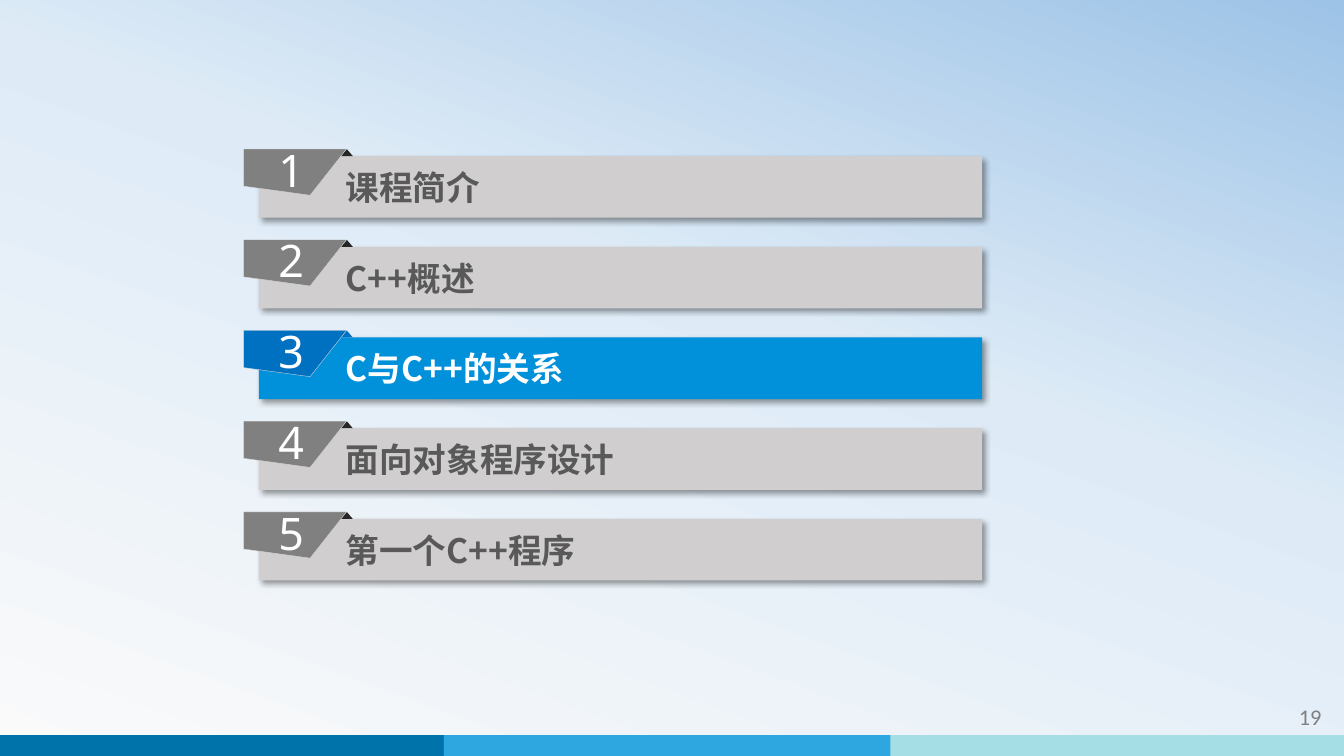
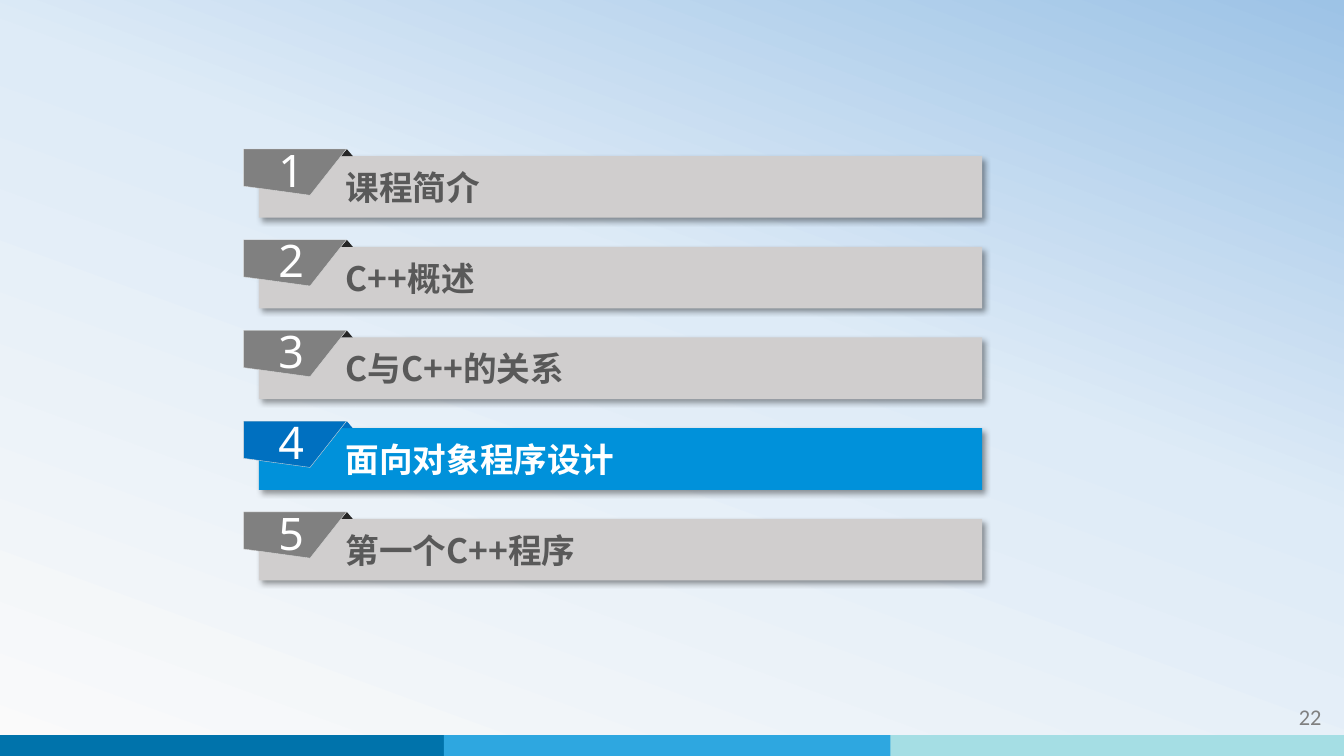
from dataclasses import dataclass

from lxml.etree import SubElement
from pptx import Presentation
from pptx.dml.color import RGBColor
from pptx.enum.shapes import MSO_SHAPE as SHAPE
from pptx.enum.text import MSO_ANCHOR as ANCHOR, PP_ALIGN as ALIGN
from pptx.oxml.ns import qn
from pptx.util import Pt


@dataclass(frozen=True)
class Theme:
    backdrop: tuple = ((0, "FAFAFA"), (58, "DEEBF7"), (100, "9DC3E6"))
    backdrop_angle: int = 70
    bands: tuple = ("0073AB", "2EA7E0", "A5DEE4")
    bar: str = "D0CECE"
    bar_text: str = "595959"
    tab: str = "808080"
    fold: str = "262626"
    active_bar: str = "0091DA"
    active_tab: str = "0070C0"
    tab_edge: str = "D9D9D9"
    white: str = "FFFFFF"
    page_text: str = "808080"
    shadow: str = "000000"
    heading_font: str = "Noto Sans CJK SC"
    number_font: str = "Noto Sans"
    page_font: str = "Calibri"
    heading_size: int = 24
    number_size: int = 32
    page_size: int = 16


T = Theme()
CHAPTERS = ("课程简介", "C++概述", "C与C++的关系", "面向对象程序设计", "第一个C++程序")
AGENDAS = ((19, 3), (22, 4))
AGENDA_TOP, AGENDA_PITCH = 106.5, 64.8
TAB_LEFT = 174


def rgb(value):
    return RGBColor.from_string(value)


def set_text(s, text, *, size, font, color, bold=False, align=ALIGN.LEFT,
             insets=(7.2, 3.6, 7.2, 3.6)):
    tf = s.text_frame
    tf.word_wrap = True
    tf.vertical_anchor = ANCHOR.MIDDLE
    tf.margin_left, tf.margin_top, tf.margin_right, tf.margin_bottom = map(Pt, insets)
    p = tf.paragraphs[0]
    p.alignment = align
    r = p.add_run()
    r.text = text
    r.font.size = Pt(size)
    r.font.bold = bold
    r.font.color.rgb = rgb(color)
    r.font.name = font
    SubElement(r._r.get_or_add_rPr(), qn("a:ea"), typeface=font)


def paint(s, fill, line=None):
    s.shadow.inherit = False
    s.fill.solid()
    s.fill.fore_color.rgb = rgb(fill)
    if line:
        s.line.color.rgb = rgb(line)
        s.line.width = Pt(0.25)
    else:
        s.line.fill.background()


def add_shape(shapes, kind, box, fill):
    s = shapes.add_shape(kind, *map(Pt, box))
    paint(s, fill)
    return s


def add_shadow(s):
    effects = s.element.spPr.find(qn("a:effectLst"))
    outer = SubElement(effects, qn("a:outerShdw"), blurRad=str(Pt(4)),
                       dist=str(Pt(3)), dir="2700000", algn="tl", rotWithShape="0")
    color = SubElement(outer, qn("a:srgbClr"), val=T.shadow)
    SubElement(color, qn("a:alpha"), val="40000")


def add_tab(shapes, top, number, fill):
    outline = shapes.build_freeform(Pt(TAB_LEFT), Pt(top))
    corners = ((73.5, 0), (47.5, 33), (0, 26.5))
    outline.add_line_segments([(Pt(TAB_LEFT + x), Pt(top + y)) for x, y in corners])
    s = outline.convert_to_shape()
    paint(s, fill, T.tab_edge)
    set_text(s, str(number), size=T.number_size, font=T.number_font, color=T.white,
             align=ALIGN.CENTER, insets=(6.5, 3, 12, 7))


def add_chapter(slide, number, title, active):
    top = AGENDA_TOP + (number - 1) * AGENDA_PITCH
    bar_fill, tab_fill, fold_fill, color = (
        (T.active_bar, T.active_tab, T.active_tab, T.white) if active
        else (T.bar, T.tab, T.fold, T.bar_text))
    shapes = slide.shapes.add_group_shape().shapes
    bar = add_shape(shapes, SHAPE.RECTANGLE, (TAB_LEFT + 11, top + 5, 516.5, 44), bar_fill)
    add_shadow(bar)
    set_text(bar, title, size=T.heading_size, font=T.heading_font, color=color,
             bold=True, insets=(62, 3.6, 7.2, 3.6))
    add_shape(shapes, SHAPE.ISOSCELES_TRIANGLE, (TAB_LEFT + 69.5, top, 8.5, 5), fold_fill)
    add_tab(shapes, top, number, tab_fill)


def add_footer(slide, page):
    shapes = slide.shapes.add_group_shape().shapes
    for i, color in enumerate(T.bands):
        add_shape(shapes, SHAPE.RECTANGLE, (319 * i - 2, 525, 324, 15), color)
    s = slide.shapes.add_textbox(Pt(836.5), Pt(497.5), Pt(114.5), Pt(28.5))
    set_text(s, str(page), size=T.page_size, font=T.page_font, color=T.page_text,
             align=ALIGN.RIGHT)


def set_backdrop(master):
    fill = master.background.fill
    fill.gradient()
    fill.gradient_angle = T.backdrop_angle
    stops = master.element.find(".//" + qn("a:gsLst"))
    for stop in list(stops):
        stops.remove(stop)
    for position, color in T.backdrop:
        stop = SubElement(stops, qn("a:gs"), pos=str(position * 1000))
        SubElement(stop, qn("a:srgbClr"), val=color)


def add_agenda(prs, page, current):
    slide = prs.slides.add_slide(prs.slide_layouts.get_by_name("Blank"))
    add_footer(slide, page)
    for number, title in enumerate(CHAPTERS, 1):
        add_chapter(slide, number, title, number == current)


def main():
    prs = Presentation()
    prs.slide_width, prs.slide_height = Pt(960), Pt(540)
    set_backdrop(prs.slide_master)
    for page, current in AGENDAS:
        add_agenda(prs, page, current)
    prs.save("out.pptx")


if __name__ == "__main__":
    main()
